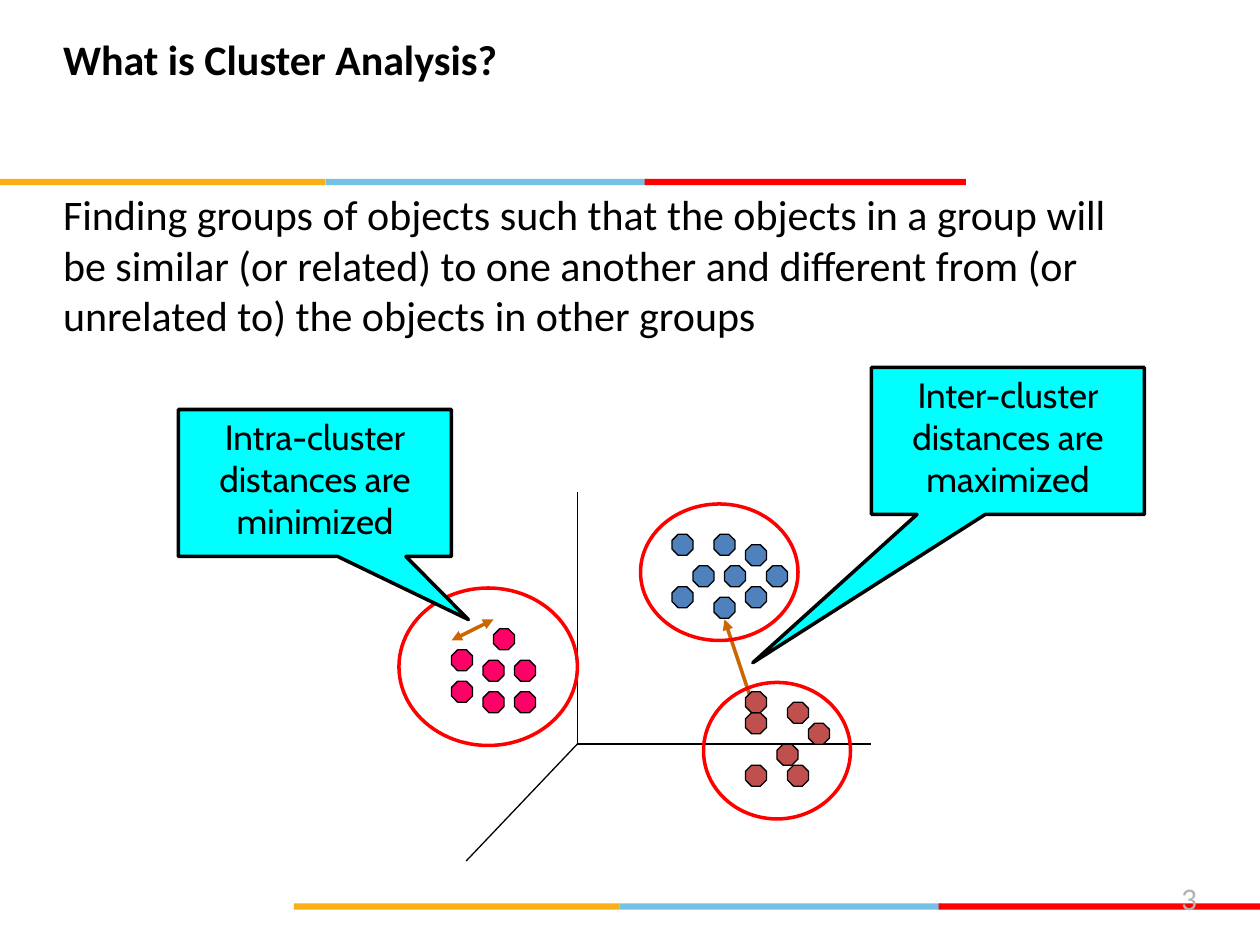
from lxml import etree
from pptx import Presentation
from pptx.dml.color import RGBColor
from pptx.enum.shapes import MSO_CONNECTOR, MSO_SHAPE
from pptx.enum.text import MSO_ANCHOR, PP_ALIGN
from pptx.oxml.ns import qn
from pptx.util import Inches, Pt

RECTANGLE, OCTAGON, ELLIPSE = MSO_SHAPE.RECTANGLE, MSO_SHAPE.OCTAGON, MSO_SHAPE.OVAL
CALLOUT = MSO_SHAPE.RECTANGULAR_CALLOUT
STRAIGHT = MSO_CONNECTOR.STRAIGHT
LEFT, CENTER, RIGHT = PP_ALIGN.LEFT, PP_ALIGN.CENTER, PP_ALIGN.RIGHT
TOP = MSO_ANCHOR.TOP

presentation = Presentation()
presentation.slide_width = Inches(10)
presentation.slide_height = Inches(7.5)
CELL = presentation.slide_width / 120
slide = presentation.slides.add_slide(presentation.slide_layouts[6])


def color(value):
    return RGBColor.from_string(value)


def add_shape(kind, box, fill=None, line=None, width=0.75):
    shape = slide.shapes.add_shape(kind, *(round(CELL * cells) for cells in box))
    shape.shadow.inherit = False
    if fill:
        shape.fill.solid()
        shape.fill.fore_color.rgb = color(fill)
    else:
        shape.fill.background()
    if line:
        shape.line.color.rgb = color(line)
        shape.line.width = Pt(width)
    else:
        shape.line.fill.background()
    return shape


for start, row in ((0, 17.04), (28, 86.04)):
    for column, width, fill in ((31, 30.6, "75C1E4"), (0, 31, "FBAF17"), (61.4, 30.6, "FF0000")):
        add_shape(RECTANGLE, (start + column, row, width, 0.6), fill)

texts = []
for box, text, alignment, font in (
    ((6, 3.24, 103.44, 7.2), "What is Cluster Analysis?", LEFT,
     {"size": Pt(24), "name": "Calibri", "bold": True}),
    ((6, 18, 103.44, 57.12),
     "Finding groups of objects such that the objects in a group will be similar "
     "(or related) to one another and different from (or unrelated to) the objects "
     "in other groups", LEFT, {"size": Pt(24), "name": "Calibri"}),
    ((86.4, 83.76, 27.6, 4.44), "3", RIGHT, {"size": Pt(18), "name": "Calibri"}),
):
    shape = slide.shapes.add_textbox(*(round(CELL * cells) for cells in box))
    texts.append((shape, text, alignment, font, 0, 0, "000000"))
texts[-1] = texts[-1][:-1] + ("B2B2B2",)

lines = [
    ((55, 46.85), (55, 70.85), "000000", 0.75, False),
    ((55, 70.85), (83, 70.85), "000000", 0.75, False),
    ((55, 70.85), (44.4, 82), "000000", 0.75, False),
    ((72, 68), (69, 59), "CC6600", 2, True),
    ((43, 61), (47, 59), "CC6600", 2, True),
]
for start, end, line, width, arrows in lines:
    connector = slide.shapes.add_connector(
        STRAIGHT, *(round(CELL * cells) for cells in start + end))
    connector.line.color.rgb = color(line)
    connector.line.width = Pt(width)
    if arrows:
        outline = connector.line._get_or_add_ln()
        for tag in ("a:headEnd", "a:tailEnd"):
            etree.SubElement(outline, qn(tag), type="triangle")
    etree.SubElement(connector._element.spPr, qn("a:effectLst"))

clusters = {
    "4F81BD": ((66, 54), (69, 54), (68, 51), (68, 57), (73, 54),
               (71, 52), (64, 51), (71, 56), (64, 56)),
    "FF0066": ((43, 62), (46, 63), (46, 66), (49, 63), (47, 60), (49, 66), (43, 65)),
    "C0504D": ((71, 68), (77, 69), (74, 71), (71, 73), (75, 73), (71, 66), (75, 67)),
}
for fill, points in clusters.items():
    for column, row in points:
        add_shape(OCTAGON, (column, row - 0.12, 2, 2), fill, "000000")
for shape in list(slide.shapes):
    if shape.shape_type is not None and shape in [] :
        continue
for box in ((38, 56, 17, 15), (61, 48, 15, 13), (67, 65, 14, 13)):
    add_shape(ELLIPSE, box, None, "FF0000", 2)

for box, pointer, text in (
    ((83, 35, 26, 14), (-0.935, 1.509), "Inter-cluster distances are maximized"),
    ((17, 39, 26, 14), (0.562, 0.929), "Intra-cluster distances are minimized"),
):
    callout = add_shape(CALLOUT, box, "00FFFF", "000000", 2)
    callout.adjustments[0], callout.adjustments[1] = pointer
    texts.append((callout, text, CENTER, {"size": Pt(20), "name": "Cabin"}, 1.2, 0.6, "000000"))

for shape, text, alignment, font, side, edge, text_color in texts:
    frame = shape.text_frame
    for name, value in {
        "word_wrap": True, "vertical_anchor": TOP,
        "margin_left": round(CELL * side), "margin_right": round(CELL * side),
        "margin_top": round(CELL * edge), "margin_bottom": round(CELL * edge),
    }.items():
        setattr(frame, name, value)
    paragraph = frame.paragraphs[0]
    paragraph.alignment = alignment
    run = paragraph.add_run()
    run.text = text
    for name, value in font.items():
        setattr(run.font, name, value)
    run.font.color.rgb = color(text_color)

presentation.save("out.pptx")
